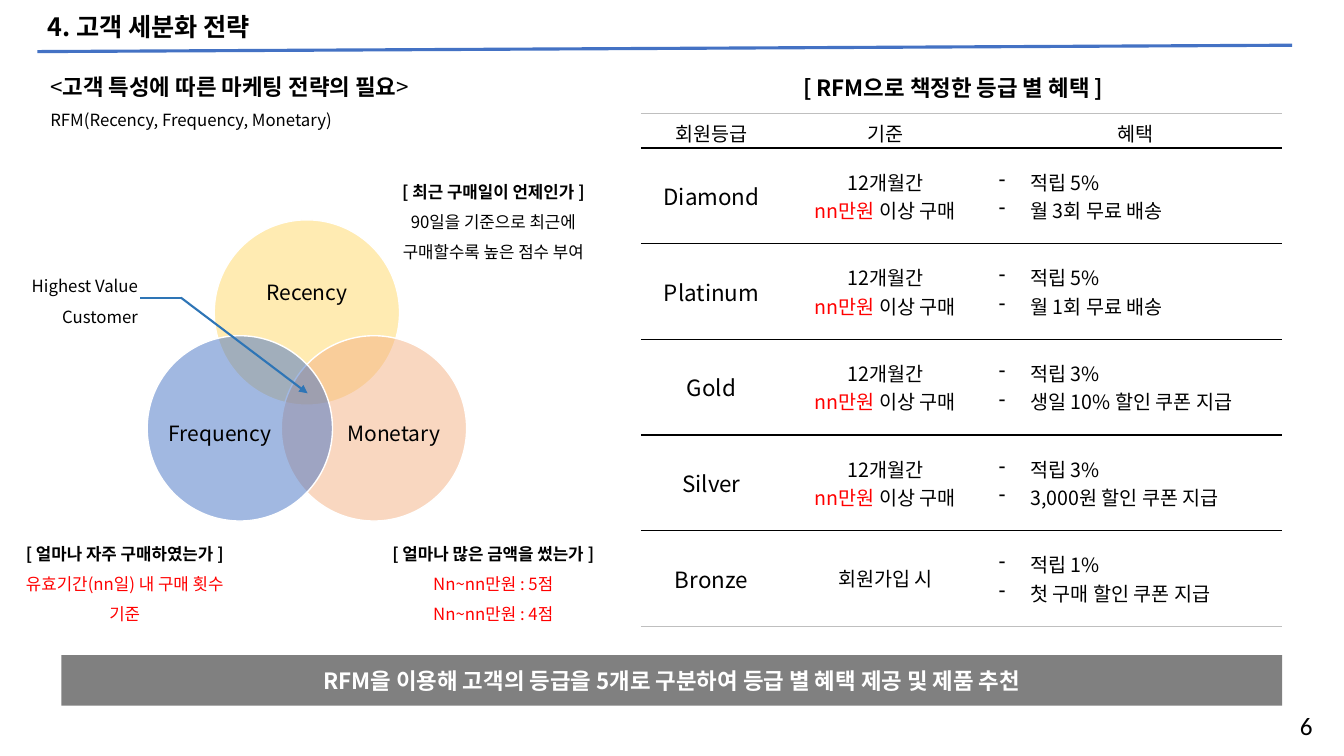
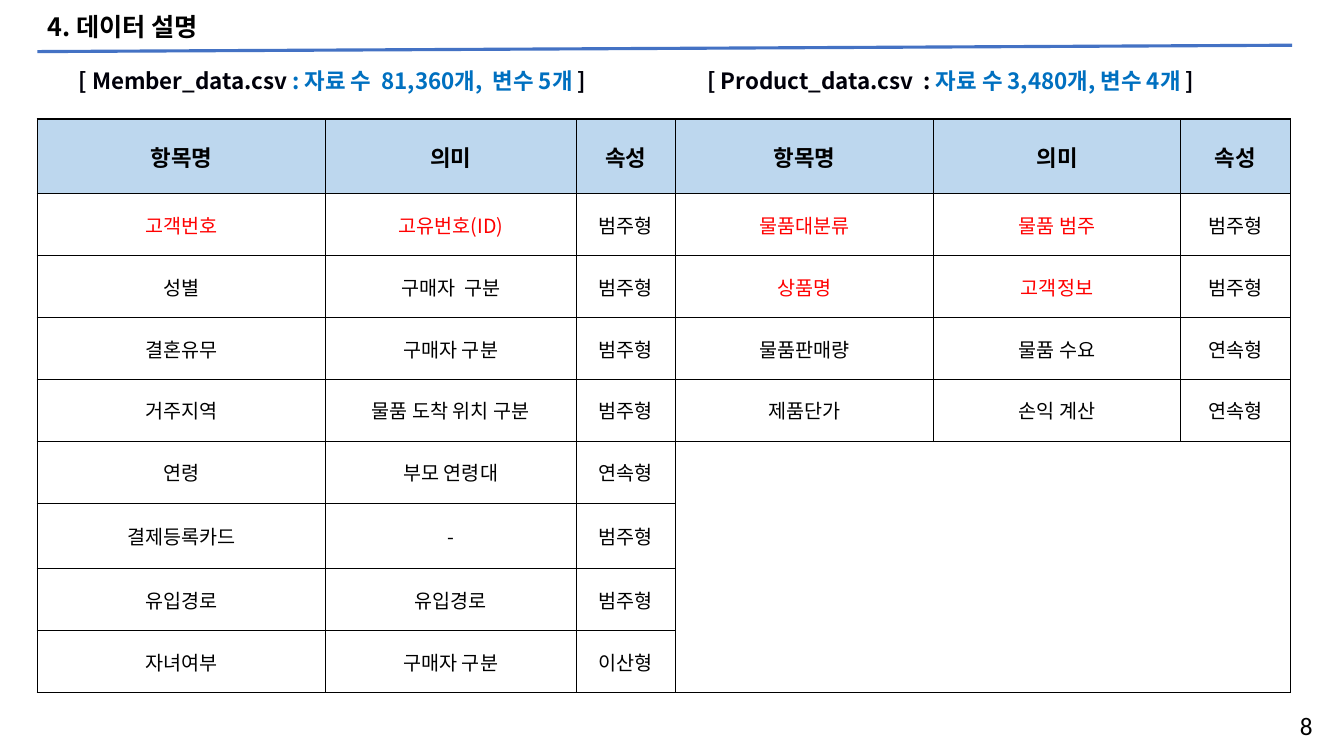
"""Build two slides on customer grades and data fields."""
from lxml import etree
from pptx import Presentation
from pptx import util as u
from pptx.dml.color import RGBColor
from pptx.enum import shapes, text
from pptx.oxml.ns import qn

HUES = {
    "ink": "000000", "deep": "00000A", "white": "FFFFFF", "red": "FF0000",
    "blue": "0070C0", "rule": "4472C4", "arrow": "2E75B6", "band": "808080",
    "head": "BDD7EE", "edge": "BFBFBF", "gold": "FFD966", "peach": "F4B183",
}
SANS, LATIN = "Noto Sans CJK KR", "Calibri"
LEFT, MID, RIGHT = text.PP_ALIGN.LEFT, text.PP_ALIGN.CENTER, text.PP_ALIGN.RIGHT
TOP, CENTER = text.MSO_ANCHOR.TOP, text.MSO_ANCHOR.MIDDLE
RED, PLAIN = {"hue": "red"}, {"bold": False}
GRADES = [
    ("Diamond", True, ["적립 5%", "월 3회 무료 배송"]),
    ("Platinum", True, ["적립 5%", "월 1회 무료 배송"]),
    ("Gold", True, ["적립 3%", "생일 10% 할인 쿠폰 지급"]),
    ("Silver", True, ["적립 3%", "3,000원 할인 쿠폰 지급"]),
    ("Bronze", False, ["적립 1%", "첫 구매 할인 쿠폰 지급"]),
]
FIELDS = [
    ("고객번호", "고유번호(ID)", "범주형", "물품대분류", "물품 범주", "범주형"),
    ("성별", "구매자  구분", "범주형", "상품명", "고객정보", "범주형"),
    ("결혼유무", "구매자 구분", "범주형", "물품판매량", "물품 수요", "연속형"),
    ("거주지역", "물품 도착 위치 구분", "범주형", "제품단가", "손익 계산", "연속형"),
    ("연령", "부모 연령대", "연속형"),
    ("결제등록카드", "-", "범주형"),
    ("유입경로", "유입경로", "범주형"),
    ("자녀여부", "구매자 구분", "이산형"),
]
KEYS = {(1, 0), (1, 1), (1, 3), (1, 4), (2, 3), (2, 4)}


def rgb(hue):
    """Return the named colour."""
    return RGBColor.from_string(HUES[hue])


def cms(box):
    """Turn a box in centimetres into lengths."""
    return [u.Cm(v) for v in box]


def style(run, size, hue="ink", bold=False, face=SANS):
    """Format one run."""
    font = run.font
    font.size, font.bold, font.name = u.Pt(size), bold, face
    font.color.rgb = rgb(hue)
    east = etree.SubElement(run._r.get_or_add_rPr(), qn("a:ea"))
    east.set("typeface", SANS)


def write(frame, lines, size, align=LEFT, space=None, **look):
    """Fill a frame; a line is a string or a list of (text, look) parts."""
    for i, line in enumerate(lines):
        para = frame.add_paragraph() if i else frame.paragraphs[0]
        para.alignment = align
        if space:
            para.line_spacing = space
        for part, own in [(line, {})] if isinstance(line, str) else line:
            run = para.add_run()
            run.text = part
            style(run, **{"size": size, **look, **own})


def label(host, box, lines, size, anchor=TOP, pad=True, **look):
    """Add a wrapped text box."""
    item = host.shapes.add_textbox(*cms(box))
    frame = item.text_frame
    frame.word_wrap, frame.vertical_anchor = True, anchor
    if not pad:
        frame.margin_left = frame.margin_right = 0
        frame.margin_top = frame.margin_bottom = 0
    write(frame, lines, size, **look)


def shape(host, kind, box, fill):
    """Add a flat filled shape."""
    item = host.shapes.add_shape(kind, *cms(box))
    item.shadow.inherit = False
    item.fill.solid()
    item.fill.fore_color.rgb = rgb(fill)
    item.line.fill.background()
    return item


def line(slide, start, end, hue, width, arrow=False):
    """Draw a straight line."""
    item = slide.shapes.add_connector(
        shapes.MSO_CONNECTOR.STRAIGHT, *cms(start + end))
    item.line.color.rgb = rgb(hue)
    item.line.width = u.Pt(width)
    prop = item._element.spPr
    if arrow:
        tail = etree.SubElement(prop.find(qn("a:ln")), qn("a:tailEnd"))
        tail.set("type", "triangle")
    etree.SubElement(prop, qn("a:effectLst"))


def frame(deck, title, page):
    """Add a slide with its title, rule and page number."""
    slide = deck.slides.add_slide(deck.slide_layouts[5])
    head = slide.shapes.title
    head.left, head.top, head.width, head.height = cms((0.94, 0.2, 23.22, 1.04))
    head.text_frame.vertical_anchor = CENTER
    head.text_frame.auto_size = text.MSO_AUTO_SIZE.NONE
    write(head.text_frame, [title], 18, space=0.9, bold=True)
    line(slide, (0.94, 1.3), (32.56, 1.14), "rule", 2.25)
    label(slide, (30.84, 17.78, 2.49, 1.04), [page], 18, align=RIGHT, face=LATIN)
    return slide


def grid(slide, box, cols, rows):
    """Add a plain table with the given column widths and row heights."""
    size = (*box, sum(cols), sum(rows))
    table = slide.shapes.add_table(len(rows), len(cols), *cms(size)).table
    table.first_row = table.horz_banding = False
    for col, wide in zip(table.columns, cols):
        col.width = u.Cm(wide)
    for row, high in zip(table.rows, rows):
        row.height = u.Cm(high)
    for cell in table.iter_cells():
        cell.vertical_anchor = CENTER
        cell.fill.background()
    return table


def edges(cell, **hues):
    """Set the four cell borders; a side without a hue has no line."""
    prop = cell._tc.get_or_add_tcPr()
    for i, side in enumerate("LRTB"):
        rim = etree.Element(qn("a:ln" + side), w=str(u.Pt(1)))
        prop.insert(i, rim)
        hue = hues.get(side)
        fill = etree.SubElement(rim, qn("a:solidFill" if hue else "a:noFill"))
        if hue:
            etree.SubElement(fill, qn("a:srgbClr"), val=HUES[hue])


def dash(para):
    """Give a paragraph a dash bullet with a hanging indent."""
    prop = para._p.get_or_add_pPr()
    prop.set("marL", str(u.Cm(0.79)))
    prop.set("indent", str(-u.Cm(0.79)))
    etree.SubElement(prop, qn("a:buChar"), char="-")


def venn(slide, box):
    """Draw three see-through circles with their names."""
    x, y, w, h = box
    size = 4.67
    group = slide.shapes.add_group_shape()
    low, far = h - size, w - size
    for name, dx, dy, fill, sx, sy in (
            ("Recency", far / 2, 0, "gold", 0, -0.47),
            ("Monetary", far, low, "peach", 0.5, 0.17),
            ("Frequency", 0, low, "rule", -0.5, 0.17)):
        left, top = x + dx, y + dy
        disc = shape(group, shapes.MSO_SHAPE.OVAL, (left, top, size, size), fill)
        tint = disc._element.spPr.find(qn("a:solidFill"))[0]
        etree.SubElement(tint, qn("a:alpha"), val="50000")
        disc.line.color.rgb = rgb("white")
        disc.line.width = u.Pt(1)
        label(group, (left + sx, top + sy, size, size), [name], 15, CENTER,
              pad=False, align=MID, space=0.9)


def callout(slide, box):
    """Name the centre of the circles and point to it."""
    x, y, w, h = box
    label(slide, (x, y, 3.48, h), ["Highest Value Customer"], 12,
          align=RIGHT, space=1.5)
    bend = (x + 4.31, y + 0.92)
    line(slide, bend, (x + w, y + 3.33), "arrow", 1.5, True)
    line(slide, bend, (x + 3.28, y + 0.92), "arrow", 1.5)


def note(slide, box, head, lines, hue="ink"):
    """Write a bold question with its scoring rule below."""
    body = [[(part, {"hue": hue, **PLAIN})] for part in lines]
    label(slide, box, [head] + body, 12, align=MID, space=1.5, bold=True)


def banner(slide, box, words):
    """Add the closing grey band."""
    item = shape(slide, shapes.MSO_SHAPE.RECTANGLE, box, "band")
    item.text_frame.vertical_anchor = CENTER
    write(item.text_frame, [words], 16, MID, hue="white", bold=True)


def perks(slide, box):
    """Build the table of grades, terms and benefits."""
    table = grid(slide, box, (3.56, 5.21, 7.39), [0.86] + [2.41] * len(GRADES))
    for c, head in enumerate(("회원등급", "기준", "혜택")):
        write(table.cell(0, c).text_frame, [head], 14, MID)
    for r, (name, paid, gains) in enumerate(GRADES, 1):
        terms = ["12개월간", [("nn만원", RED), (" 이상 구매", {})]]
        write(table.cell(r, 0).text_frame, [name], 16, MID)
        write(table.cell(r, 1).text_frame,
              terms if paid else ["회원가입 시"], 14, MID)
        gain = table.cell(r, 2).text_frame
        write(gain, gains, 14)
        for para in gain.paragraphs:
            dash(para)
    last = len(GRADES)
    for r in range(last + 1):
        for c in range(3):
            edges(table.cell(r, c), T="ink" if r else "edge",
                  B="ink" if r < last else "edge")


def fields(slide, box):
    """Build the table of data fields for both files."""
    table = grid(slide, box, (7.26, 6.32, 2.51, 6.5, 6.22, 2.77),
                 [1.88] + [1.56] * 5 + [1.65] + [1.56] * 2)
    for cell in table.iter_cells():
        edges(cell, L="ink", R="ink", T="ink", B="ink")
    for c, head in enumerate(("항목명", "의미", "속성") * 2):
        cell = table.cell(0, c)
        cell.fill.solid()
        cell.fill.fore_color.rgb = rgb("head")
        write(cell.text_frame, [head], 16, MID, bold=True, face=LATIN)
    for r, row in enumerate(FIELDS, 1):
        for c, word in enumerate(row):
            write(table.cell(r, c).text_frame, [word], 14, MID,
                  hue="red" if (r, c) in KEYS else "ink")
    table.cell(5, 3).merge(table.cell(8, 5))


def plan(deck):
    """Build the slide on customer grades."""
    slide = frame(deck, "4. 고객 세분화 전략", "6")
    label(slide, (1.02, 1.37, 10.52, 1.96), [
        [("<", {}), ("고객 특성에 따른 마케팅 전략의 필요", {"bold": True}), (">", {})],
        [("RFM(Recency, Frequency, Monetary)", {"size": 12})]], 16, space=1.5)
    venn(slide, (3.71, 5.54, 8.05, 7.59))
    banner(slide, (1.55, 16.51, 30.76, 1.27),
           "RFM을 이용해 고객의 등급을 5개로 구분하여 등급 별 혜택 제공 및 제품 추천")
    note(slide, (9.63, 4.19, 5.61, 2.49), "[ 최근 구매일이 언제인가 ]",
         ["90일을 기준으로 최근에 구매할수록 높은 점수 부여"])
    note(slide, (9.47, 13.32, 5.92, 2.49), "[ 얼마나 많은 금액을 썼는가 ]",
         ["Nn~nn만원 : 5점", "Nn~nn만원 : 4점"], "red")
    note(slide, (0.25, 13.32, 5.79, 2.49), "[ 얼마나 자주 구매하였는가 ]",
         ["유효기간(nn일) 내 구매 횟수 기준"], "red")
    callout(slide, (0.25, 6.58, 7.5, 1.73))
    label(slide, (19.99, 1.45, 8.48, 1.19), ["[ RFM으로 책정한 등급 별 혜택 ]"],
          16, CENTER, space=1.5, bold=True)
    perks(slide, (16.15, 2.87))


def data(deck):
    """Build the slide on the data files."""
    slide = frame(deck, "4. 데이터 설명", "8")
    fields(slide, (0.94, 3))
    for box, name, count in (
            ((1.73, 1.63, 14.02, 0.91), "[ Member_data.csv ",
             ": 자료 수  81,360개,  변수 5개 "),
            ((17.58, 1.47, 13.77, 1.19), "[ Product_data.csv  : ",
             "자료 수 3,480개, 변수 4개 ")):
        label(slide, box, [[(name, {}), (count, {"hue": "blue"}), ("]", {})]],
              16, CENTER, space=0.9, hue="deep", bold=True)


def main():
    """Make the deck and save it."""
    deck = Presentation()
    deck.slide_width, deck.slide_height = u.Cm(33.87), u.Cm(19.05)
    plan(deck)
    data(deck)
    deck.save("out.pptx")


if __name__ == "__main__":
    main()
